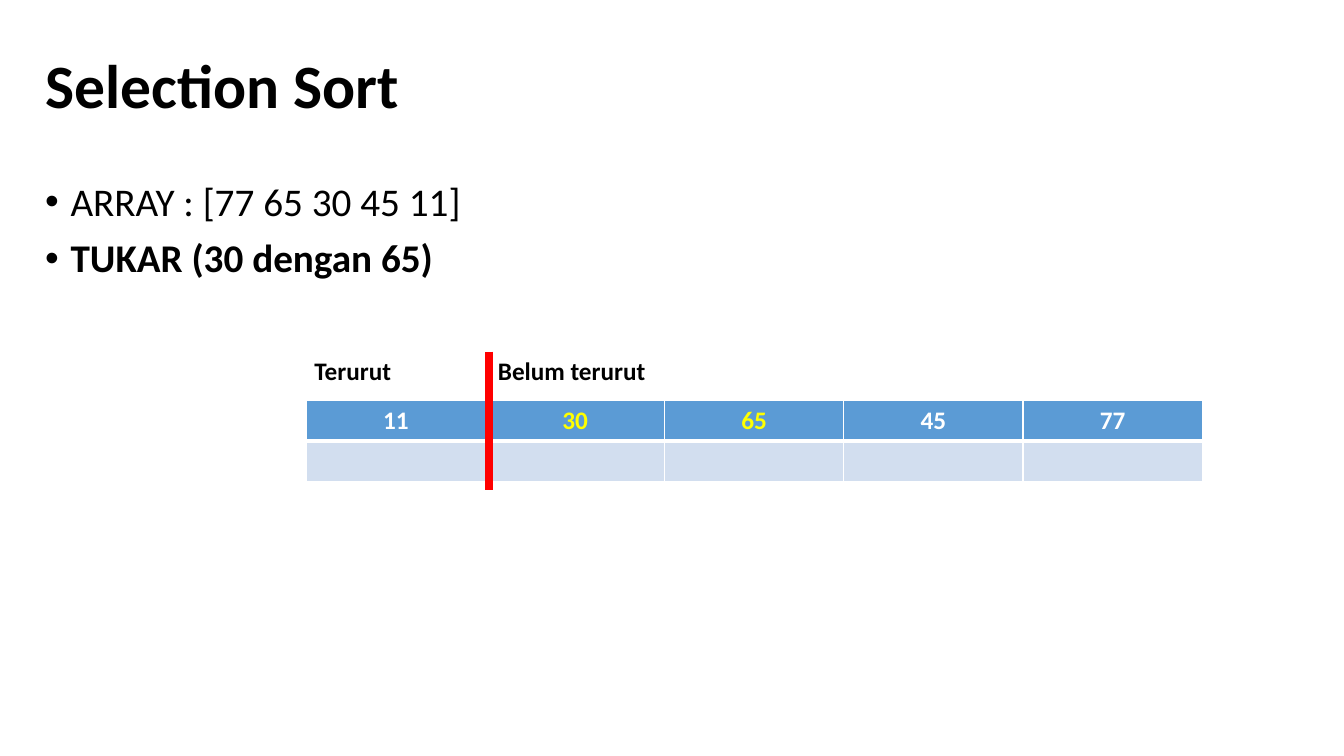
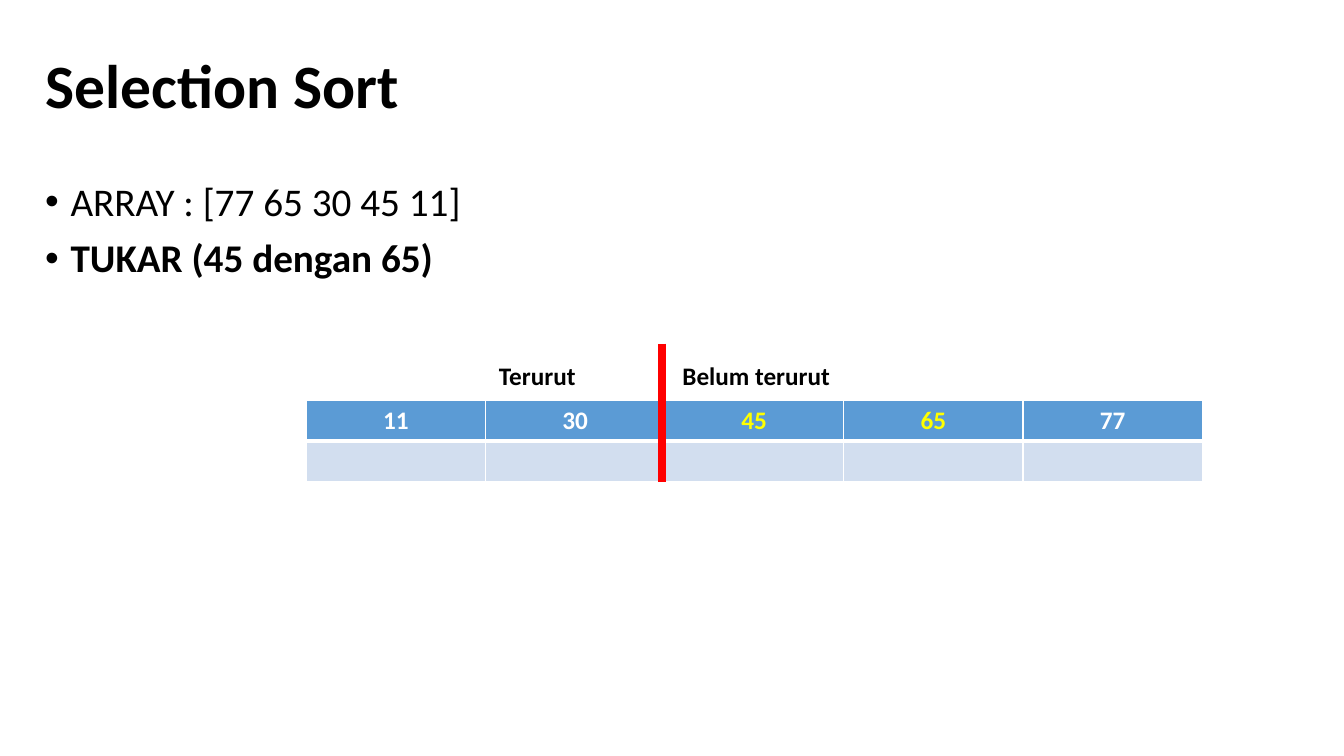
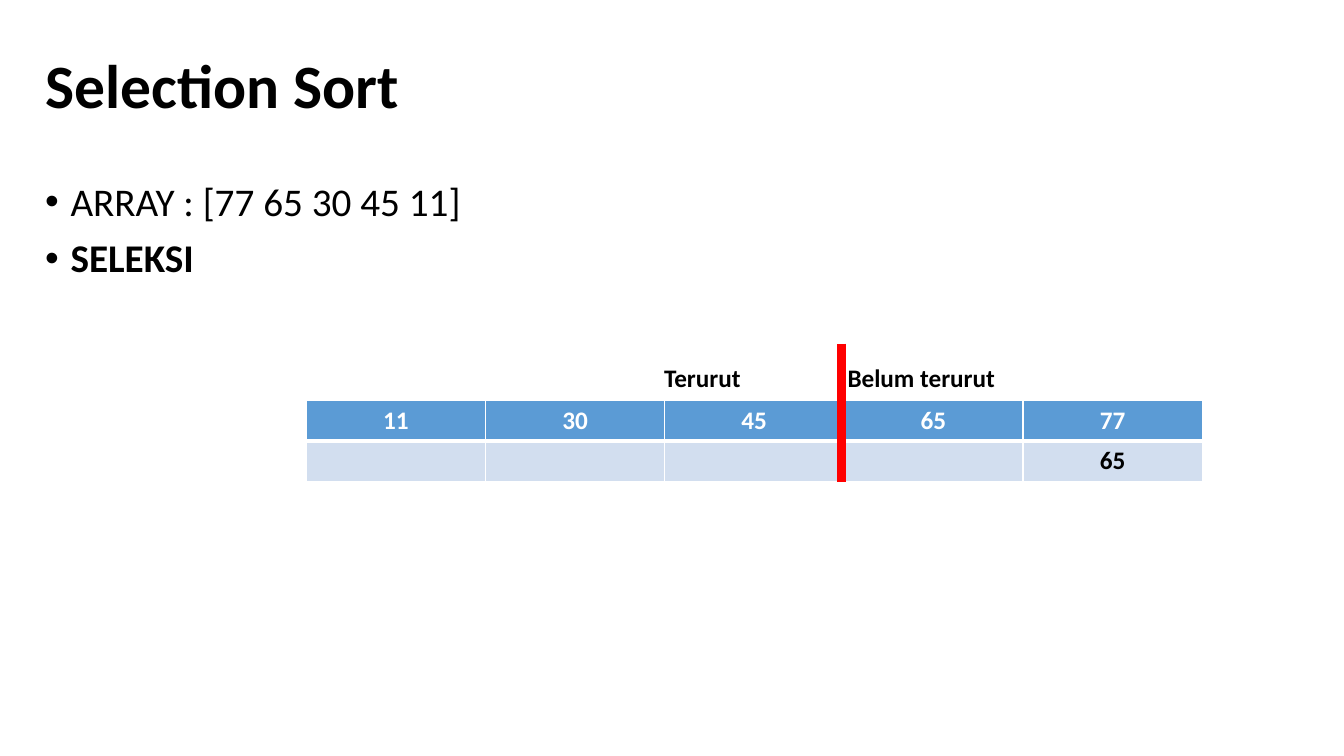
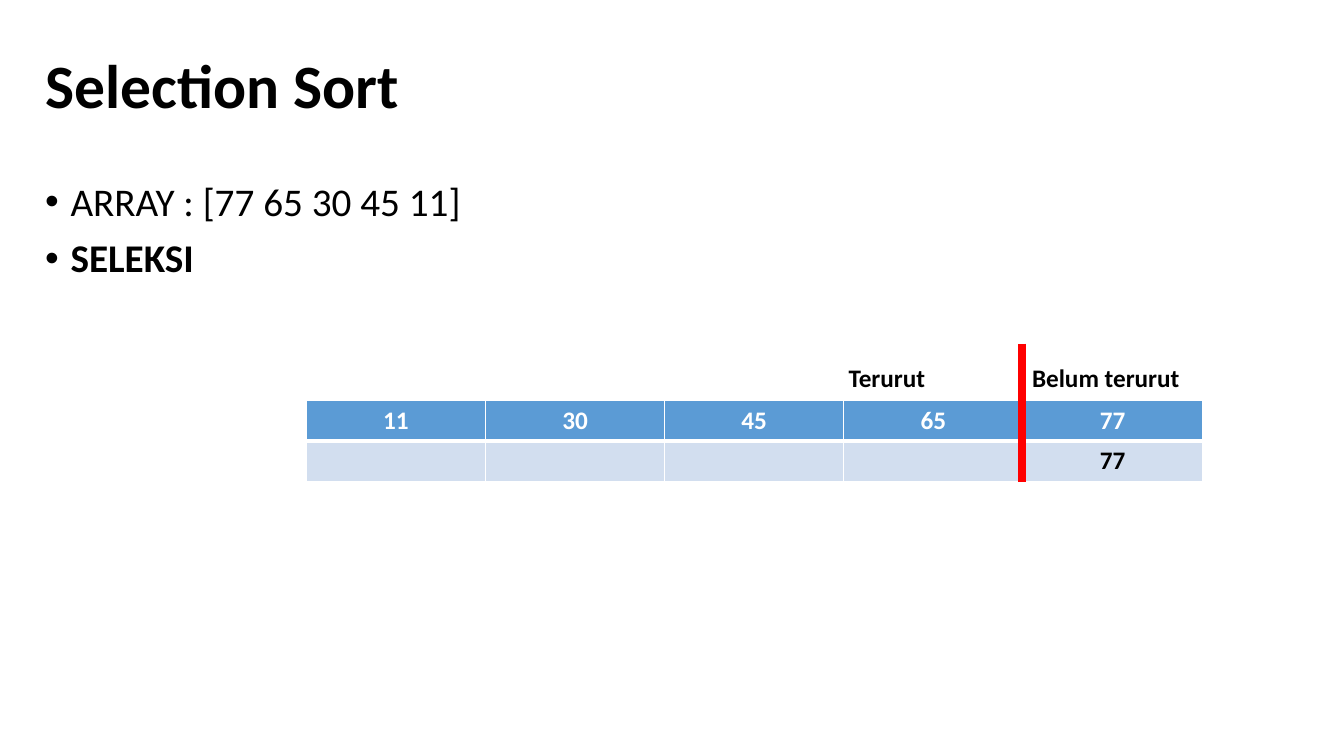
from dataclasses import dataclass

from lxml import etree
from pptx import Presentation
from pptx import util as u
from pptx.dml.color import RGBColor
from pptx.enum import shapes, text
from pptx.oxml.ns import qn


# Theme: colours and type sizes
@dataclass(frozen=True)
class Theme:
    font: str = "Calibri"
    black: str = "000000"
    white: str = "FFFFFF"
    head: str = "5B9BD5"
    band: str = "D2DEEF"
    mark: str = "FFFF00"
    red: str = "FF0000"
    title: int = 44
    body: int = 28
    cell: int = 18


@dataclass(frozen=True)
class Step:
    action: str
    nums: tuple[str, ...]
    swap: tuple[int, ...]  # columns being exchanged
    pick: str  # value selected, under the last column
    label: tuple[float, float]  # left, top of the labels, cm
    line: tuple[float, float]  # left, top of the divider, cm


THEME = Theme()
STEPS = (
    Step("TUKAR (30 dengan 65)", ("11", "30", "65", "45", "77"), (1, 2), "",
         (7.67, 8.86), (12.32, 8.86)),
    Step("TUKAR (45 dengan 65)", ("11", "30", "45", "65", "77"), (2, 3), "",
         (12.32, 8.97), (16.69, 8.66)),
    Step("SELEKSI", ("11", "30", "45", "65", "77"), (), "65",
         (16.48, 9.04), (21.21, 8.66)),
    Step("SELEKSI", ("11", "30", "45", "65", "77"), (), "77",
         (21.13, 9.04), (25.76, 8.66)),
)
ROW = 1.03  # table row height, cm


def style(para, size: int, color: str, bold: bool) -> None:
    font = para.font
    font.name, font.size, font.bold = THEME.font, u.Pt(size), bold
    font.color.rgb = RGBColor.from_string(color)


# Text
def add_box(slide, top: float, width: float, height: float):
    frame = slide.shapes.add_textbox(
        u.Cm(0.89), u.Cm(top), u.Cm(width), u.Cm(height)).text_frame
    frame.word_wrap = True
    return frame


def add_title(slide, words: str) -> None:
    frame = add_box(slide, 0.38, 27.89, 3.68)
    frame.vertical_anchor = text.MSO_ANCHOR.MIDDLE
    para = frame.paragraphs[0]
    para.text, para.line_spacing = words, 0.9
    style(para, THEME.title, THEME.black, True)


def add_list(slide, items: tuple[tuple[str, bool], ...]) -> None:
    frame = add_box(slide, 4.47, 32.16, 12.83)
    for i, (words, bold) in enumerate(items):
        para = frame.add_paragraph() if i else frame.paragraphs[0]
        para.text, para.line_spacing = words, 0.9
        para.space_before = u.Pt(10)
        style(para, THEME.body, THEME.black, bold)
        props = para._p.get_or_add_pPr()
        props.set("marL", str(u.Cm(0.64)))
        props.set("indent", str(-u.Cm(0.64)))
        font = props.find(qn("a:defRPr"))
        for tag, key, value in (("a:buFont", "typeface", "Arial"),
                                ("a:buChar", "char", "•")):
            bullet = etree.Element(qn(tag))
            bullet.set(key, value)
            font.addprevious(bullet)


# Tables
def set_edges(cell, top: float, base: float, side: float) -> None:
    props = cell._tc.get_or_add_tcPr()
    for tag, width in (("lnL", side), ("lnR", side),
                       ("lnT", top), ("lnB", base)):
        line = etree.SubElement(props, qn(f"a:{tag}"), w=str(u.Pt(width)))
        if width:
            fill = etree.SubElement(line, qn("a:solidFill"))
            etree.SubElement(fill, qn("a:srgbClr"), val=THEME.white)
        else:
            etree.SubElement(line, qn("a:noFill"))


def add_grid(slide, rows: int, cols: int, left: float, top: float,
             width: float):
    grid = slide.shapes.add_table(rows, cols, u.Cm(left), u.Cm(top),
                                  u.Cm(width), u.Cm(rows * ROW)).table
    grid.first_row = grid.horz_banding = False
    return grid


def fill_cell(cell, words: str, color: str,
              align: text.PP_ALIGN = text.PP_ALIGN.LEFT) -> None:
    para = cell.text_frame.paragraphs[0]
    para.text, para.alignment = words, align
    style(para, THEME.cell, color, True)


def add_array(slide, step: Step) -> None:
    count = len(step.nums)
    grid = add_grid(slide, 2, count, 7.72, 10.08, 22.58)
    picks = ("",) * (count - 1) + (step.pick,)
    for col, (num, pick) in enumerate(zip(step.nums, picks)):
        color = THEME.mark if col in step.swap else THEME.white
        for row, words, ink, back, top, base in (
                (0, num, color, THEME.head, 1, 3),
                (1, pick, THEME.black, THEME.band, 3, 1)):
            cell = grid.cell(row, col)
            set_edges(cell, top, base, 1)
            cell.fill.solid()
            cell.fill.fore_color.rgb = RGBColor.from_string(back)
            fill_cell(cell, words, ink, text.PP_ALIGN.CENTER)


def add_labels(slide, left: float, top: float) -> None:
    grid = add_grid(slide, 1, 2, left, top, 9.25)
    for col, words in enumerate(("Terurut", "Belum terurut")):
        cell = grid.cell(0, col)
        set_edges(cell, 0, 0, 0)
        cell.fill.background()
        fill_cell(cell, words, THEME.black)


# Divider between sorted and unsorted parts
def add_line(slide, left: float, top: float) -> None:
    line = slide.shapes.add_connector(
        shapes.MSO_CONNECTOR.STRAIGHT,
        u.Cm(left), u.Cm(top), u.Cm(left), u.Cm(top + 3.48))
    line.line.color.rgb = RGBColor.from_string(THEME.red)
    line.line.width = u.Pt(6)
    etree.SubElement(line._element.spPr, qn("a:effectLst"))


def main() -> None:
    deck = Presentation()
    deck.slide_width, deck.slide_height = u.Cm(33.87), u.Cm(19.05)
    for step in STEPS:
        slide = deck.slides.add_slide(deck.slide_layouts[6])
        add_title(slide, "Selection Sort")
        add_list(slide, (("ARRAY : [77 65 30 45 11]", False),
                         (step.action, True)))
        add_array(slide, step)
        add_labels(slide, *step.label)
        add_line(slide, *step.line)
    deck.save("out.pptx")


if __name__ == "__main__":
    main()
